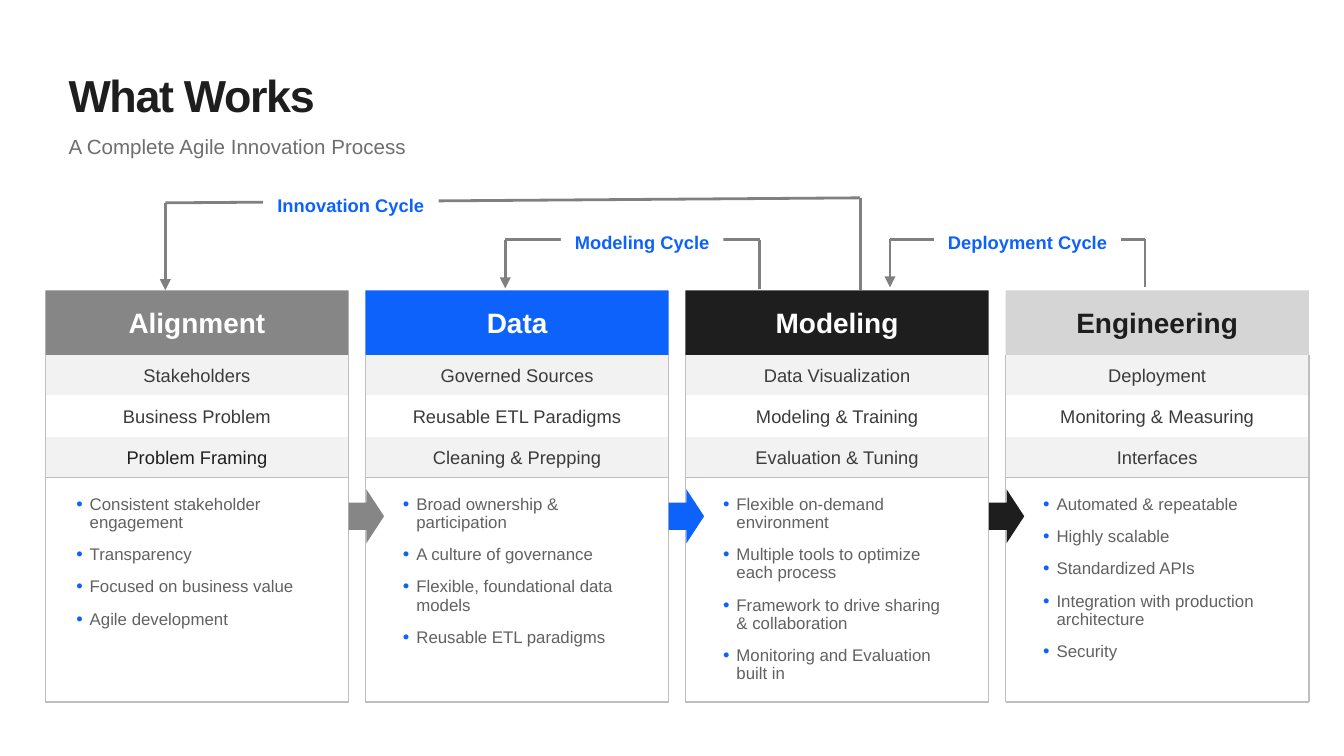
from dataclasses import dataclass
from itertools import pairwise

from lxml.etree import SubElement
from pptx import Presentation
from pptx.dml.color import RGBColor
from pptx.enum.shapes import MSO_CONNECTOR, MSO_SHAPE
from pptx.enum.text import MSO_ANCHOR, PP_ALIGN
from pptx.oxml.ns import qn
from pptx.util import Pt


@dataclass(frozen=True)
class Theme:
    """Colours, font and type sizes of the slide."""
    font: str = "Arial"
    ink: str = "1E1E1E"
    blue: str = "0C62FB"
    gray: str = "868686"
    silver: str = "D5D5D5"
    white: str = "FFFFFF"
    band: str = "F2F2F2"
    border: str = "BFBFBF"
    cycle: str = "808080"
    subtitle: str = "6E6E6E"
    row: str = "3B3B3B"
    bullet: str = "616161"
    title_size: float = 24
    subtitle_size: float = 11
    heading_size: float = 15
    row_size: float = 9.8
    bullet_size: float = 9


THEME = Theme()


@dataclass(frozen=True)
class Stage:
    """One column of the process."""
    name: str
    fill: str
    name_color: str
    rows: tuple
    bullets: tuple
    bullet_indent: float = 13
    last_row_color: str = THEME.row


STAGES = (
    Stage("Alignment", THEME.gray, THEME.white,
          ("Stakeholders", "Business Problem", "Problem Framing"),
          ("Consistent stakeholder engagement", "Transparency",
           "Focused on business value", "Agile development"),
          bullet_indent=9.5, last_row_color=THEME.ink),
    Stage("Data", THEME.blue, THEME.white,
          ("Governed Sources", "Reusable ETL Paradigms", "Cleaning & Prepping"),
          ("Broad ownership & participation", "A culture of governance",
           "Flexible, foundational data models", "Reusable ETL paradigms")),
    Stage("Modeling", THEME.ink, THEME.white,
          ("Data Visualization", "Modeling & Training", "Evaluation & Tuning"),
          ("Flexible on-demand environment", "Multiple tools to optimize\veach process",
           "Framework to drive sharing\v& collaboration",
           "Monitoring and Evaluation\vbuilt in")),
    Stage("Engineering", THEME.silver, THEME.ink,
          ("Deployment", "Monitoring & Measuring", "Interfaces"),
          ("Automated & repeatable", "Highly scalable", "Standardized APIs",
           "Integration with production architecture", "Security")),
)

CYCLES = (
    ("Innovation Cycle", (141, 101, 94, 18),
     ((460.8, 155.5), (460.8, 106), (88.6, 108.7), (88.6, 155.5))),
    ("Modeling Cycle", (300.5, 120.5, 87, 18),
     ((407, 155), (407, 128.5), (270.7, 128.5), (270.7, 154.5))),
    ("Deployment Cycle", (500.5, 120.5, 100, 18),
     ((613.4, 154), (613.4, 128.2), (476.8, 128.2), (476.8, 154))),
)


def style(paragraph, size, color, bold=False):
    """Set the font of a whole paragraph."""
    font = paragraph.font
    font.name, font.size, font.bold = THEME.font, Pt(size), bold
    font.color.rgb = RGBColor.from_string(color)


def add_block(slide, box, fill, preset=MSO_SHAPE.RECTANGLE):
    """Add a flat filled shape without outline."""
    block = slide.shapes.add_shape(preset, *map(Pt, box))
    block.shadow.inherit = False
    block.fill.solid()
    block.fill.fore_color.rgb = RGBColor.from_string(fill)
    block.line.fill.background()
    return block


def add_label(slide, box, fill, text, size, color, bold=False):
    """Add a filled block with one centred line of text."""
    frame = add_block(slide, box, fill).text_frame
    frame.word_wrap = False
    frame.vertical_anchor = MSO_ANCHOR.MIDDLE
    frame.margin_top = frame.margin_bottom = 0
    paragraph = frame.paragraphs[0]
    paragraph.text, paragraph.alignment = text, PP_ALIGN.CENTER
    style(paragraph, size, color, bold)


def add_line(slide, start, end, color, width, arrow=False):
    """Add a straight line, with an arrowhead at its end if asked."""
    line = slide.shapes.add_connector(MSO_CONNECTOR.STRAIGHT, *map(Pt, (*start, *end)))
    line.line.width = Pt(width)
    line.line.color.rgb = RGBColor.from_string(color)
    if arrow:
        SubElement(line.line._get_or_add_ln(), qn("a:tailEnd"), type="triangle")
    SubElement(line._element.spPr, qn("a:effectLst"))


def add_heading(slide, box, text, size, color, bold=False, tracking=0):
    """Add one line of heading text without margins."""
    frame = slide.shapes.add_textbox(*map(Pt, box)).text_frame
    frame.word_wrap = True
    frame.margin_left = frame.margin_right = frame.margin_top = frame.margin_bottom = 0
    paragraph = frame.paragraphs[0]
    paragraph.text = text
    style(paragraph, size, color, bold)
    if tracking:
        paragraph.runs[0].font._element.set("spc", str(round(tracking * 100)))


def add_bullets(slide, box, items):
    """Add a bulleted list."""
    frame = slide.shapes.add_textbox(*map(Pt, box)).text_frame
    frame.word_wrap = True
    for index, item in enumerate(items):
        paragraph = frame.add_paragraph() if index else frame.paragraphs[0]
        paragraph.text = item
        paragraph.line_spacing = 0.9
        paragraph.space_before, paragraph.space_after = Pt(1.5), Pt(6)
        style(paragraph, THEME.bullet_size, THEME.bullet)
        properties = paragraph._p.get_or_add_pPr()
        properties.set("marL", str(Pt(7.2)))
        properties.set("indent", str(Pt(-7.2)))
        marker_color = SubElement(properties, qn("a:buClr"))
        SubElement(marker_color, qn("a:srgbClr"), val=THEME.blue)
        SubElement(properties, qn("a:buSzPct"), val="110000")
        SubElement(properties, qn("a:buFont"), typeface=THEME.font)
        SubElement(properties, qn("a:buChar"), char="•")
        properties.append(properties.find(qn("a:defRPr")))


def add_stage(slide, box, stage):
    """Build one process column inside its box."""
    left, top, width, height = box
    right, bottom = left + width, top + height
    header_height, row_pitch, row_height = 34.6, 22, 21.6
    rows_top = top + header_height
    rows_bottom = rows_top + 2 * row_pitch + row_height
    for index, row in enumerate(stage.rows):
        add_label(slide, (left, rows_top + index * row_pitch, width, row_height),
                  THEME.white if index == 1 else THEME.band, row, THEME.row_size,
                  stage.last_row_color if index == 2 else THEME.row)
    add_label(slide, (left, top, width, header_height), stage.fill,
              stage.name, THEME.heading_size, stage.name_color, True)
    add_bullets(slide, (left + stage.bullet_indent, top + 106.5, 140, 108), stage.bullets)
    for y in (rows_bottom, bottom):
        add_line(slide, (left, y), (right, y), THEME.border, 0.75)
    for x in (left, right):
        add_line(slide, (x, bottom), (x, rows_top), THEME.border, 0.75)


def add_cycle(slide, box, name, corners):
    """Draw a feedback loop through its corners and its label in the box."""
    segments = list(pairwise(corners))
    for start, end in segments:
        add_line(slide, start, end, THEME.cycle, 1.5, arrow=end == corners[-1])
    add_label(slide, box, THEME.white, name, THEME.row_size, THEME.blue, True)


def add_process(slide, box, gap):
    """Lay out the stages in equal columns with arrows between them."""
    left, top, width, height = box
    pitch = (width + gap) / len(STAGES)
    column_width = pitch - gap
    for index, stage in enumerate(STAGES):
        add_stage(slide, (left + index * pitch, top, column_width, height), stage)
    for index, stage in enumerate(STAGES[:-1]):
        arrow_left = left + index * pitch + column_width
        add_block(slide, (arrow_left, top + 106.5, 19, 29), stage.fill, MSO_SHAPE.RIGHT_ARROW)


def main():
    """Build and save the slide."""
    deck = Presentation()
    deck.slide_width, deck.slide_height = Pt(720), Pt(405)
    slide = deck.slides.add_slide(deck.slide_layouts[6])
    add_heading(slide, (36.7, 36.5, 647, 29), "What Works",
                THEME.title_size, THEME.ink, True, -0.7)
    add_heading(slide, (36.7, 72, 647, 14), "A Complete Agile Innovation Process",
                THEME.subtitle_size, THEME.subtitle)
    add_process(slide, (24.3, 155.6, 676.9, 220.4), gap=9)
    for name, box, corners in CYCLES:
        add_cycle(slide, box, name, corners)
    deck.save("out.pptx")


if __name__ == "__main__":
    main()
